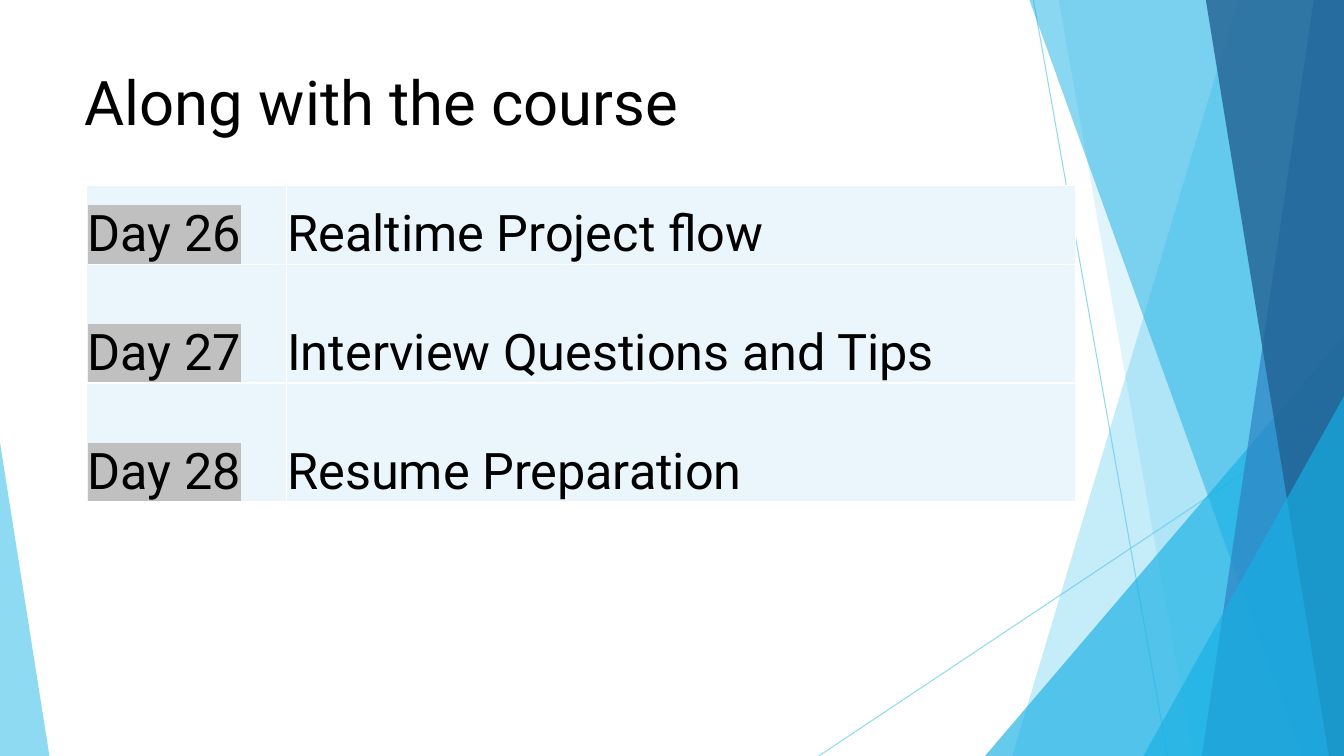
from lxml.etree import SubElement
from pptx import Presentation
from pptx.dml.color import RGBColor
from pptx.enum.shapes import MSO_CONNECTOR as Connector, MSO_SHAPE as Shape
from pptx.enum.text import MSO_ANCHOR as Anchor
from pptx.oxml import parse_xml
from pptx.oxml.ns import nsdecls, qn
from pptx.util import Inches, Pt

WIDTH, HEIGHT = 13.33, 7.5
FONT = "Roboto"
SKY, CYAN, BLUE, NAVY = "5FCBEF", "17B0E4", "2E83C3", "226292"
BLACK, WHITE, GREY, PALE = "000000", "FFFFFF", "C0C0C0", "EAF6FC"

TITLE = "Along with the course"
SCHEDULE = [
    ("Day 26", "Realtime Project flow"),
    ("Day 27", "Interview Questions and Tips"),
    ("Day 28", "Resume Preparation"),
]
COLUMN_WIDTHS = (1.98, 7.83)
ROW_HEIGHTS = (0.78, 1.18, 1.18)

THIN_LINES = [((10.25, 0), (11.58, HEIGHT)), ((WIDTH, 4.03), (8.12, HEIGHT))]
# Bands reach the right edge: left x at the top, left x at the bottom, colour, opacity
BACK_BANDS = [(12.28, 10.04, SKY, 36), (10.5, 11.83, SKY, 20)]
FRONT_BANDS = [
    (10.21, 12.91, CYAN, 50),
    (13.03, 11.92, BLUE, 70),
    (11.96, 13.18, NAVY, 80),
]
# Triangles stand on the bottom edge: left, width, height, apex, colour, opacity
BACK_TRIANGLE = (9.77, 3.56, 4.17, 1, CYAN, 66)
FRONT_TRIANGLES = [(11.34, 1.99, 3.57, 1, CYAN, 66), (0, 0.49, 3.11, 0, SKY, 70)]


def rgb(value):
    return RGBColor.from_string(value)


def set_opacity(properties, percent):
    for color in properties.iter(qn("a:srgbClr")):
        SubElement(color, qn("a:alpha")).set("val", str(percent * 1000))


def paint(shape, color, opacity):
    shape.shadow.inherit = False
    shape.fill.solid()
    shape.fill.fore_color.rgb = rgb(color)
    shape.line.fill.background()
    set_opacity(shape.element.spPr, opacity)


def add_thin_line(page, start, end):
    line = page.shapes.add_connector(
        Connector.STRAIGHT, *[Inches(value) for value in (*start, *end)])
    line.line.color.rgb = rgb(SKY)
    line.line.width = Pt(0.75)
    properties = line.element.spPr
    set_opacity(properties, 70)
    SubElement(properties, qn("a:effectLst"))


def add_band(page, top_x, bottom_x, color, opacity):
    corners = [(top_x, 0), (WIDTH, 0), (WIDTH, HEIGHT), (bottom_x, HEIGHT)]
    points = [(Inches(x), Inches(y)) for x, y in corners]
    builder = page.shapes.build_freeform(*points[0])
    builder.add_line_segments(points[1:], close=True)
    paint(builder.convert_to_shape(), color, opacity)


def add_triangle(page, left, width, height, apex, color, opacity):
    triangle = page.shapes.add_shape(
        Shape.ISOSCELES_TRIANGLE, Inches(left), Inches(HEIGHT - height),
        Inches(width), Inches(height))
    triangle.adjustments[0] = apex
    paint(triangle, color, opacity)


def write(frame, text, size, color=BLACK, highlight=None):
    span = frame.paragraphs[0].add_run()
    span.text = text
    span.font.size = Pt(size)
    span.font.color.rgb = rgb(color)
    span.font.name = FONT
    if highlight:
        latin = span.font._element.find(qn("a:latin"))
        latin.addprevious(parse_xml(
            f'<a:highlight {nsdecls("a")}><a:srgbClr val="{highlight}"/></a:highlight>'))


def add_borders(cell, color, points):
    properties = cell._tc.get_or_add_tcPr()
    for index, side in enumerate(("lnL", "lnR", "lnT", "lnB")):
        properties.insert(index, parse_xml(
            f'<a:{side} {nsdecls("a")} w="{Pt(points)}"><a:solidFill>'
            f'<a:srgbClr val="{color}"/></a:solidFill></a:{side}>'))


def add_schedule(page):
    table = page.shapes.add_table(
        len(SCHEDULE), len(COLUMN_WIDTHS), Inches(0.86), Inches(1.84),
        Inches(sum(COLUMN_WIDTHS)), Inches(sum(ROW_HEIGHTS))).table
    table.first_row = table.horz_banding = False
    for column, width in zip(table.columns, COLUMN_WIDTHS):
        column.width = Inches(width)
    for row, height, texts in zip(table.rows, ROW_HEIGHTS, SCHEDULE):
        row.height = Inches(height)
        for cell, text, highlight in zip(row.cells, texts, (GREY, None)):
            cell.margin_left = cell.margin_right = cell.margin_top = Inches(0.01)
            cell.margin_bottom = 0
            cell.vertical_anchor = Anchor.BOTTOM
            cell.fill.solid()
            cell.fill.fore_color.rgb = rgb(PALE)
            add_borders(cell, WHITE, 1)
            write(cell.text_frame, text, 36, highlight=highlight)


def add_title(page):
    title = page.shapes.title
    title.left, title.top = Inches(0.74), Inches(0.58)
    title.width, title.height = Inches(9.4), Inches(0.84)
    frame = title.text_frame
    frame.word_wrap = True
    frame.vertical_anchor = Anchor.MIDDLE
    write(frame, TITLE, 44)
    frame.paragraphs[0].alignment = 1


def main():
    deck = Presentation()
    deck.slide_width, deck.slide_height = Inches(WIDTH), Inches(HEIGHT)
    page = deck.slides.add_slide(deck.slide_layouts[5])
    for start, end in THIN_LINES:
        add_thin_line(page, start, end)
    for band in BACK_BANDS:
        add_band(page, *band)
    add_triangle(page, *BACK_TRIANGLE)
    for band in FRONT_BANDS:
        add_band(page, *band)
    for triangle in FRONT_TRIANGLES:
        add_triangle(page, *triangle)
    add_title(page)
    add_schedule(page)
    deck.save("out.pptx")


if __name__ == "__main__":
    main()
